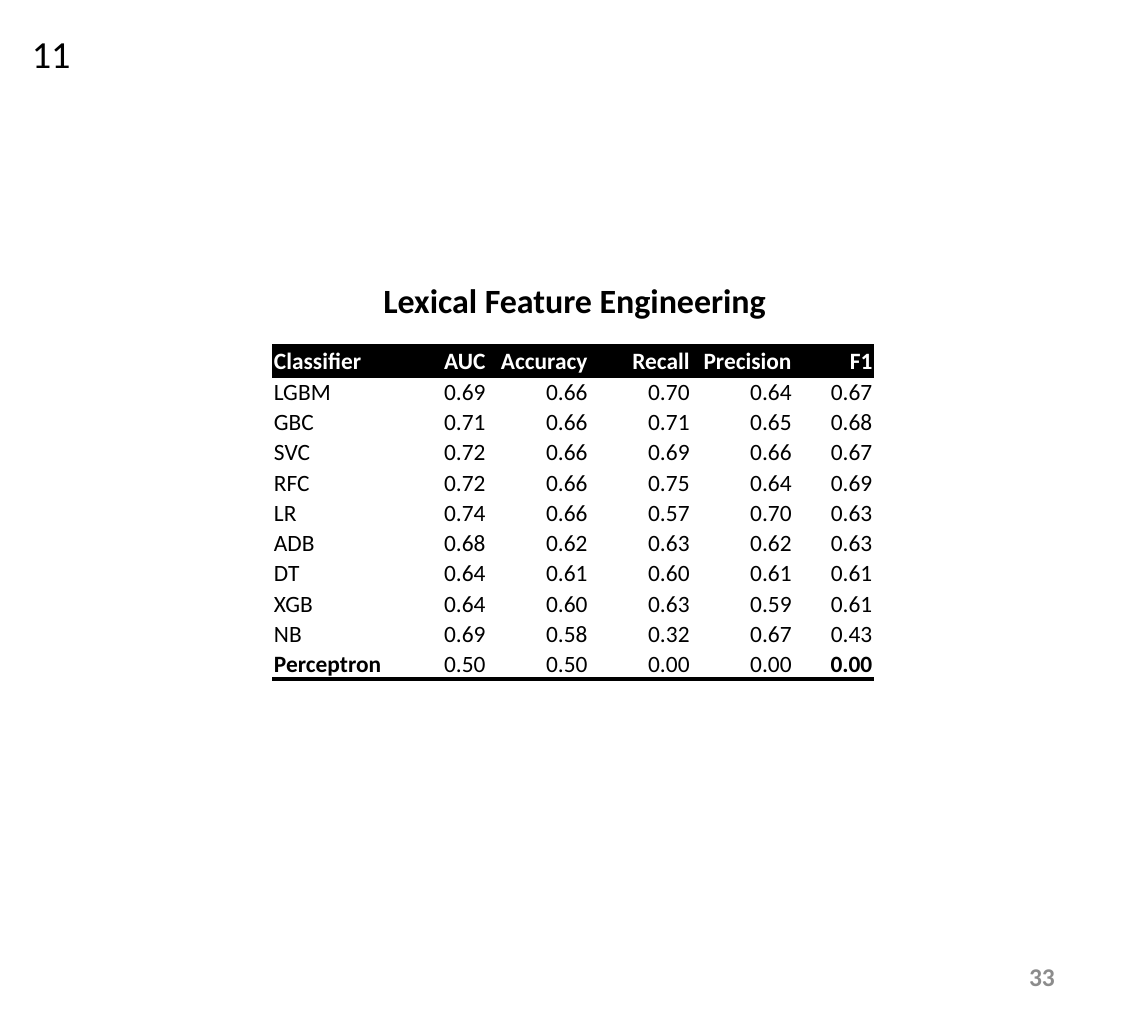
from dataclasses import dataclass

import lxml.etree
import pptx
import pptx.dml.color
import pptx.enum.text
import pptx.oxml.ns
import pptx.util

COLUMNS, ROWS = 750, 669
UNIT = pptx.util.Inches(0.01)
ALIGN = pptx.enum.text.PP_ALIGN
ANCHOR = pptx.enum.text.MSO_ANCHOR
AUTO_SIZE = pptx.enum.text.MSO_AUTO_SIZE
NO_STYLE_NO_GRID = "{2D5ABB26-0587-4C30-8999-92F81FD0307C}"


@dataclass(frozen=True)
class Theme:
    """Colours, font and type sizes of the slide."""

    font: str = "Calibri"
    ink: str = "000000"
    paper: str = "FFFFFF"
    muted: str = "8C8C8C"
    title: int = 16
    label: int = 18
    page: int = 12
    cell: int = 11
    rule: int = 2


THEME = Theme()
HEADINGS = ["Classifier", "AUC", "Accuracy", "Recall", "Precision", "F1"]
COLUMN_WEIGHTS = [74, 67, 67, 67, 67, 53]
SCORES = [
    ["LGBM", 0.69, 0.66, 0.70, 0.64, 0.67],
    ["GBC", 0.71, 0.66, 0.71, 0.65, 0.68],
    ["SVC", 0.72, 0.66, 0.69, 0.66, 0.67],
    ["RFC", 0.72, 0.66, 0.75, 0.64, 0.69],
    ["LR", 0.74, 0.66, 0.57, 0.70, 0.63],
    ["ADB", 0.68, 0.62, 0.63, 0.62, 0.63],
    ["DT", 0.64, 0.61, 0.60, 0.61, 0.61],
    ["XGB", 0.64, 0.60, 0.63, 0.59, 0.61],
    ["NB", 0.69, 0.58, 0.32, 0.67, 0.43],
    ["Perceptron", 0.50, 0.50, 0.00, 0.00, 0.00],
]


def grid_box(left, top, width, height):
    """Turn grid columns and rows into slide lengths."""
    return [length * UNIT for length in (left, top, width, height)]


def write(text_frame, text, size, color, bold=False, align=ALIGN.LEFT):
    """Put one formatted paragraph in a text frame."""
    paragraph = text_frame.paragraphs[0]
    paragraph.text = text
    paragraph.alignment = align
    paragraph.font.name = THEME.font
    paragraph.font.size = pptx.util.Pt(size)
    paragraph.font.bold = bold
    paragraph.font.color.rgb = pptx.dml.color.RGBColor.from_string(color)


def add_label(slide, box, text, size, color, bold=False, align=ALIGN.LEFT,
              anchor=ANCHOR.TOP, wrap=True, auto_size=AUTO_SIZE.SHAPE_TO_FIT_TEXT):
    """Add a single-line text box."""
    text_frame = slide.shapes.add_textbox(*box).text_frame
    text_frame.word_wrap = wrap
    text_frame.auto_size = auto_size
    text_frame.vertical_anchor = anchor
    write(text_frame, text, size, color, bold, align)


def add_rules(cell, sides):
    """Draw horizontal rules on the given sides of a cell."""
    properties = cell._tc.get_or_add_tcPr()
    for position, side in enumerate(sides):
        line = lxml.etree.Element(pptx.oxml.ns.qn(f"a:ln{side}"),
                                  w=str(pptx.util.Pt(THEME.rule)))
        fill = lxml.etree.SubElement(line, pptx.oxml.ns.qn("a:solidFill"))
        lxml.etree.SubElement(fill, pptx.oxml.ns.qn("a:srgbClr"), val=THEME.ink)
        properties.insert(position, line)


def fill_cell(cell, text, color, background, bold, align):
    """Set the text, fill and margins of one cell."""
    cell.margin_left = cell.margin_right = cell.margin_top = UNIT
    cell.margin_bottom = 0
    cell.vertical_anchor = ANCHOR.BOTTOM
    cell.fill.solid()
    cell.fill.fore_color.rgb = pptx.dml.color.RGBColor.from_string(background)
    write(cell.text_frame, text, THEME.cell, color, bold, align)


def add_score_table(slide, box):
    """Add the classifier scores with a dark header and a closing rule."""
    rows = [HEADINGS] + [[name] + [f"{score:.2f}" for score in scores]
                         for name, *scores in SCORES]
    last_row, last_column = len(rows) - 1, len(HEADINGS) - 1
    table = slide.shapes.add_table(len(rows), len(HEADINGS), *box).table
    table.first_row = table.horz_banding = False
    table._tbl.tblPr.find(pptx.oxml.ns.qn("a:tableStyleId")).text = NO_STYLE_NO_GRID
    for column, weight in zip(table.columns, COLUMN_WEIGHTS):
        column.width = round(box[2] * weight / sum(COLUMN_WEIGHTS))
    for row_index, row in enumerate(rows):
        table.rows[row_index].height = round(box[3] / len(rows))
        header = row_index == 0
        color, background = (THEME.paper, THEME.ink) if header else (THEME.ink, THEME.paper)
        sides = "TB" if header else "B" if row_index == last_row else ""
        for column_index, text in enumerate(row):
            cell = table.cell(row_index, column_index)
            bold = header or (row_index == last_row and column_index in (0, last_column))
            align = ALIGN.RIGHT if column_index else ALIGN.LEFT
            fill_cell(cell, text, color, background, bold, align)
            add_rules(cell, sides)


def add_results_slide(presentation):
    """Add the slide with its title, score table and numbers."""
    slide = presentation.slides.add_slide(presentation.slide_layouts[6])
    add_label(slide, grid_box(188, 178, 375, 37), "Lexical Feature Engineering",
              THEME.title, THEME.ink, bold=True, align=ALIGN.CENTER)
    add_label(slide, grid_box(530, 620, 169, 36), "33", THEME.page, THEME.muted,
              bold=True, align=ALIGN.RIGHT, anchor=ANCHOR.MIDDLE, auto_size=AUTO_SIZE.NONE)
    add_label(slide, grid_box(11, 15, 46, 40), "11", THEME.label, THEME.ink, wrap=False)
    add_score_table(slide, grid_box(178, 226, 393, 218))


def main():
    """Build and save the presentation."""
    presentation = pptx.Presentation()
    presentation.slide_width = COLUMNS * UNIT
    presentation.slide_height = ROWS * UNIT
    add_results_slide(presentation)
    presentation.save("out.pptx")


if __name__ == "__main__":
    main()
